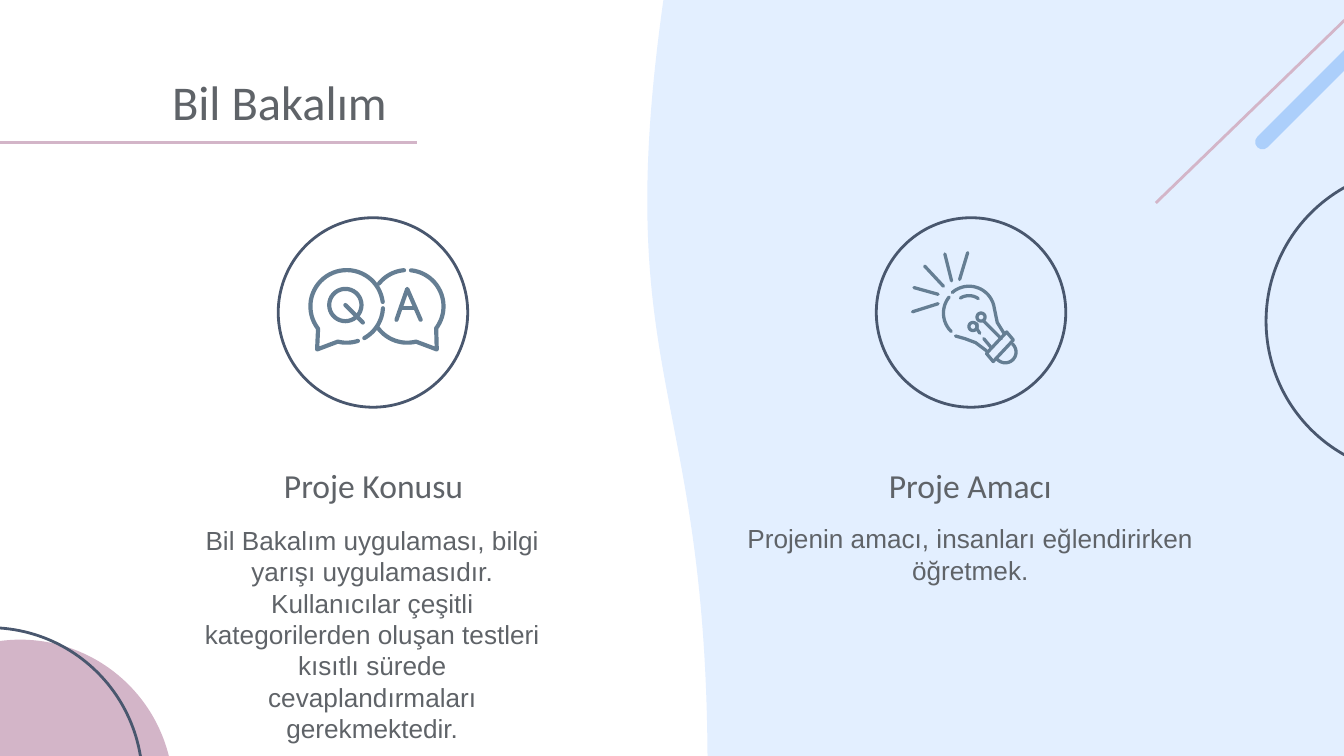
import math

import pptx
import pptx.dml.color
import pptx.enum.shapes
import pptx.enum.text
import pptx.oxml
import pptx.oxml.ns
import pptx.util

Inches = pptx.util.Inches
SHAPE = pptx.enum.shapes.MSO_SHAPE
STRAIGHT = pptx.enum.shapes.MSO_CONNECTOR.STRAIGHT
ALIGN = pptx.enum.text.PP_ALIGN
ANCHOR = pptx.enum.text.MSO_ANCHOR
RGB = pptx.dml.color.RGBColor.from_string
qn = pptx.oxml.ns.qn

COLORS = {"text": "5F6368", "pale": "E3EFFF", "pink": "D3B5C8",
          "navy": "49576E", "blue": "ACCFFB", "icon": "657E93"}


def write(sp, text, box, size, font="Calibri", align=ALIGN.CENTER,
          anchor=ANCHOR.BOTTOM, color="text"):
    """Place a text placeholder and fill it with one formatted paragraph."""
    sp.left, sp.top, sp.width, sp.height = [Inches(v) for v in box]
    tf = sp.text_frame
    tf.word_wrap = True
    tf.auto_size = pptx.enum.text.MSO_AUTO_SIZE.NONE
    tf.vertical_anchor = anchor
    tf.margin_left = tf.margin_right = tf.margin_top = tf.margin_bottom = Inches(0.1)
    p = tf.paragraphs[0]
    pPr = p._p.get_or_add_pPr()
    pPr.set("marL", "0")
    pPr.set("indent", "0")
    pPr.append(pptx.oxml.parse_xml(f"<a:buNone {pptx.oxml.ns.nsdecls('a')}/>"))
    p.alignment = align
    p.space_before = pptx.util.Pt(0)
    p.line_spacing = 1.0
    r = p.add_run()
    r.text = text
    r.font.name = font
    r.font.size = pptx.util.Pt(size)
    r.font.bold = False
    r.font.color.rgb = RGB(COLORS[color])


def outline(sp, color, width, cap="flat"):
    """Give a shape or connector a plain line without shadow."""
    sp.line.color.rgb = RGB(COLORS[color])
    sp.line.width = pptx.util.Pt(width)
    spPr = sp.element.spPr
    spPr.find(qn("a:ln")).set("cap", cap)
    spPr.append(pptx.oxml.parse_xml(f"<a:effectLst {pptx.oxml.ns.nsdecls('a')}/>"))


prs = pptx.Presentation()
prs.slide_width, prs.slide_height = Inches(10), Inches(10 * 9 / 16)
s = prs.slides.add_slide(prs.slide_layouts[4])

# Filled background shapes
for kind, box, rotation, color in [
    (SHAPE.FLOWCHART_DOCUMENT, (3.1, 1.62, 5.79, 2.42), 90, "pale"),
    (SHAPE.RECTANGLE, (6.98, -0.08, 3.31, 5.85), 0, "pale"),
    (SHAPE.OVAL, (-0.99, 4.76, 2.28, 2.28), 0, "pink"),
    (SHAPE.ROUND_2_SAME_RECTANGLE, (10.06, -0.74, 0.11, 2.15), 225, "blue"),
]:
    sp = s.shapes.add_shape(kind, *[Inches(v) for v in box])
    sp.rotation = rotation
    sp.fill.solid()
    sp.fill.fore_color.rgb = RGB(COLORS[color])
    sp.line.fill.background()
    sp.shadow.inherit = False
    if kind == SHAPE.ROUND_2_SAME_RECTANGLE:
        sp.adjustments[0] = 0.5

# Rings: two at the slide edges, two around the icons
for x, y, d in [(-1.22, 4.67, 2.28), (9.42, 1.25, 2.28),
                (2.07, 1.62, 1.41), (6.52, 1.62, 1.41)]:
    ring = s.shapes.add_shape(SHAPE.OVAL, Inches(x), Inches(y), Inches(d), Inches(d))
    ring.fill.background()
    outline(ring, "navy", 1.5)

# Diagonal accent and title underline
for ends in [(10.81, -0.63, 8.6, 1.51), (3.1, 1.06, -0.95, 1.06)]:
    line = s.shapes.add_connector(STRAIGHT, *[Inches(v) for v in ends])
    outline(line, "pink", 1.5)

# Icon strokes: (x, y) is a point, (cx, cy, r, from, to) an arc in degrees
speech_bubbles = [
    [(2.58, 2.28, 0.27, 353, 142), (2.36, 2.6), (2.58, 2.28, 0.27, 104, 72)],
    [(2.58, 2.28, 0.27, 3, 61)],
    [(3.03, 2.28, 0.27, -95, -141)],
    [(3.03, 2.28, 0.27, -84, 37), (3.25, 2.6), (3.03, 2.28, 0.27, 76, 144)],
    [(2.57, 2.27, 0.12, 0, 360)],
    [(2.57, 2.27), (2.7, 2.4)],
    [(2.95, 2.38), (3.03, 2.15), (3.13, 2.38)],
    [(2.99, 2.29), (3.09, 2.29)],
]
light_bulb = [
    [(6.88, 1.98), (7.02, 2.13)],
    [(6.8, 2.14), (6.98, 2.19)],
    [(6.79, 2.32), (6.98, 2.26)],
    [(7.03, 1.89), (7.08, 2.09)],
    [(7.2, 1.88), (7.14, 2.08)],
    [(7.21, 2.33, 0.19, 219, 134)],
    [(7.21, 2.32, 0.19, 229, 352), (7.42, 2.4), (7.47, 2.48)],
    [(7.11, 2.5), (7.18, 2.52), (7.26, 2.55), (7.34, 2.61)],
    [(7.21, 2.32, 0.12, 238, 305)],
    [(7.34, 2.63), (7.49, 2.47), (7.54, 2.53), (7.39, 2.69), (7.34, 2.63)],
    [(7.48, 2.62, 0.08, -47, 137)],
    [(7.3, 2.36, 0.03, 0, 360)],
    [(7.24, 2.43, 0.03, 0, 360)],
    [(7.32, 2.39), (7.45, 2.52)],
    [(7.32, 2.52), (7.37, 2.58)],
    [(7.27, 2.41), (7.27, 2.45), (7.29, 2.48)],
]
ARC_STEPS = 36
for strokes, width in [(speech_bubbles, 2.25), (light_bulb, 1.75)]:
    for stroke in strokes:
        points = []
        for item in stroke:
            if len(item) == 2:
                points.append(item)
                continue
            cx, cy, radius, start, end = item
            for i in range(ARC_STEPS + 1):
                a = math.radians(start + (end - start) * i / ARC_STEPS)
                points.append((cx + radius * math.cos(a), cy + radius * math.sin(a)))
        points = [(Inches(x), Inches(y)) for x, y in points]
        if len(points) == 2:
            sp = s.shapes.add_connector(STRAIGHT, *points[0], *points[1])
        else:
            builder = s.shapes.build_freeform(*points[0])
            builder.add_line_segments(points[1:], close=points[0] == points[-1])
            sp = builder.convert_to_shape()
            sp.fill.background()
        outline(sp, "icon", width, cap="rnd")

# Texts, brought in front of the background
title, topic_head, topic, aim_head, aim = list(s.placeholders)
write(title, "Bil Bakalım", (1.18, 0.49, 5.63, 0.58), 26, align=ALIGN.LEFT)
write(topic_head, "Proje Konusu", (1.48, 3.36, 2.6, 0.5), 18)
write(topic, "Bil Bakalım uygulaması, bilgi yarışı uygulamasıdır. Kullanıcılar "
      "çeşitli kategorilerden oluşan testleri kısıtlı sürede "
      "cevaplandırmaları gerekmektedir.", (1.37, 3.8, 2.8, 1.34), 14,
      font="Arial", anchor=ANCHOR.TOP)
write(aim_head, "Proje Amacı", (5.92, 3.36, 2.6, 0.5), 18)
write(aim, "Projenin amacı, insanları eğlendirirken öğretmek.",
      (5.46, 3.79, 3.52, 0.98), 14, font="Arial", anchor=ANCHOR.TOP)
for sp in (title, topic_head, topic, aim_head, aim):
    s.shapes.element.append(sp.element)

prs.save("out.pptx")
